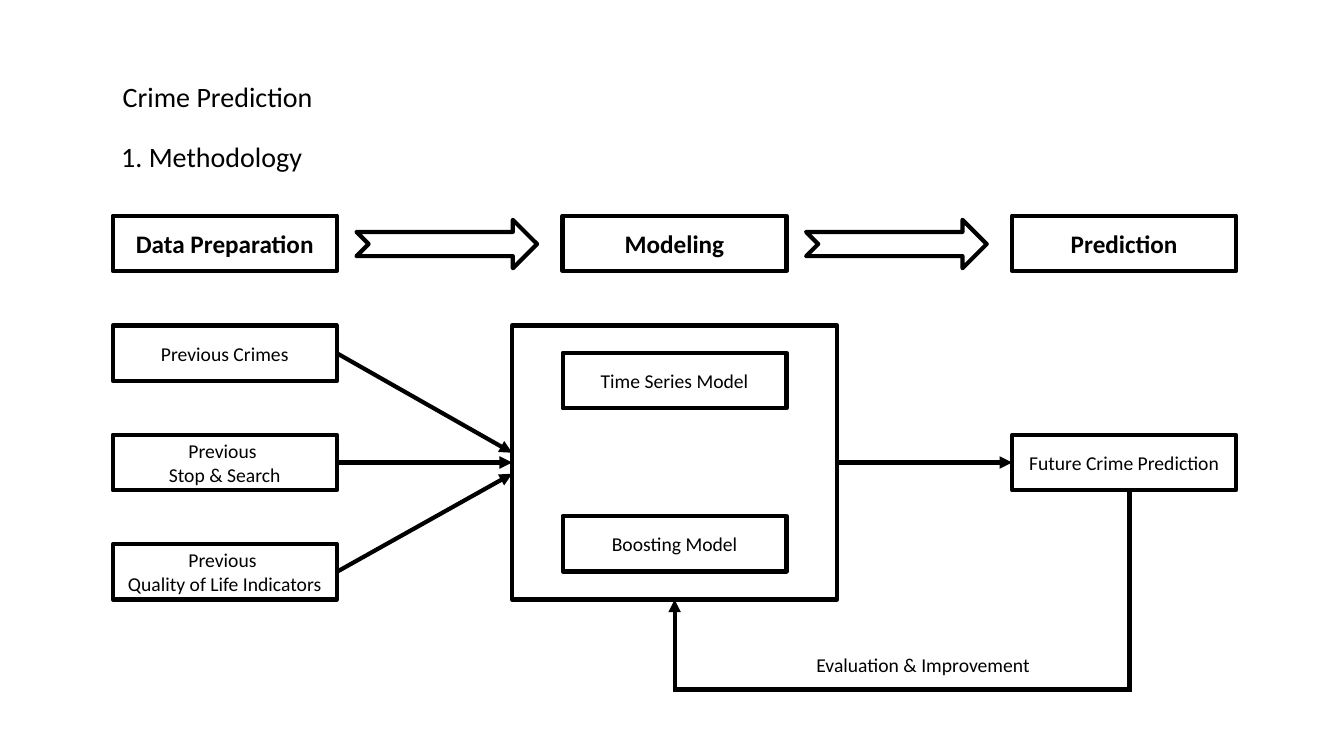
from dataclasses import dataclass

from lxml import etree
from pptx import Presentation
from pptx.dml.color import RGBColor
from pptx.enum.shapes import MSO_CONNECTOR, MSO_SHAPE
from pptx.enum.text import MSO_ANCHOR, MSO_AUTO_SIZE, PP_ALIGN
from pptx.oxml.ns import qn
from pptx.util import Pt

RECTANGLE = MSO_SHAPE.RECTANGLE
NOTCHED_ARROW = MSO_SHAPE.NOTCHED_RIGHT_ARROW
STRAIGHT = MSO_CONNECTOR.STRAIGHT
MIDDLE = MSO_ANCHOR.MIDDLE
CENTER, LEFT = PP_ALIGN.CENTER, PP_ALIGN.LEFT
GROW = MSO_AUTO_SIZE.SHAPE_TO_FIT_TEXT
LEFT_SIDE, BOTTOM_SIDE, RIGHT_SIDE = 1, 2, 3


@dataclass(frozen=True)
class Theme:
    font: str = "Calibri"
    ink: RGBColor = RGBColor(0, 0, 0)
    line_width: float = 3
    title_size: float = 20
    stage_size: float = 18
    body_size: float = 14


class DiagramBuilder:
    def __init__(self, slide, theme):
        self.slide = slide
        self.theme = theme

    def set_text(self, shape, text, size, alignment, bold=False):
        shape.text_frame.text = text
        for paragraph in shape.text_frame.paragraphs:
            paragraph.alignment = alignment
            for run in paragraph.runs:
                run.font.name = self.theme.font
                run.font.size = Pt(size)
                run.font.bold = bold
                run.font.color.rgb = self.theme.ink

    def style_line(self, line):
        line.color.rgb = self.theme.ink
        line.width = Pt(self.theme.line_width)

    def outline(self, kind, left, top, width, height):
        shape = self.slide.shapes.add_shape(
            kind, Pt(left), Pt(top), Pt(width), Pt(height))
        shape.shadow.inherit = False
        shape.fill.background()
        self.style_line(shape.line)
        return shape

    def box(self, text, left, top, size, bold=False):
        shape = self.outline(RECTANGLE, left, top, BOX_WIDTH, BOX_HEIGHT)
        shape.text_frame.word_wrap = True
        shape.text_frame.vertical_anchor = MIDDLE
        self.set_text(shape, text, size, CENTER, bold)
        return shape

    def label(self, text, left, top, width, height, size):
        shape = self.slide.shapes.add_textbox(
            Pt(left), Pt(top), Pt(width), Pt(height))
        shape.text_frame.word_wrap = True
        shape.text_frame.auto_size = GROW
        self.set_text(shape, text, size, LEFT)

    def connector(self, start, end, source=None, target=None, arrow=True):
        """Draw from start to end; source and target are (shape, side) joins."""
        connector = self.slide.shapes.add_connector(
            STRAIGHT, *(Pt(length) for length in (*start, *end)))
        if source:
            connector.begin_connect(*source)
        if target:
            connector.end_connect(*target)
        self.style_line(connector.line)
        properties = connector._element.spPr
        if arrow:
            line = properties.find(qn("a:ln"))
            etree.SubElement(line, qn("a:tailEnd"), type="triangle")
        etree.SubElement(properties, qn("a:effectLst"))


BOX_WIDTH, BOX_HEIGHT = 160, 39.6
COLUMNS = [80.6 + 321.2 * index for index in range(3)]
STAGE_TOP = 154
ROWS = [232.5 + 78.1 * index for index in range(3)]
CENTER_Y = ROWS[1] + BOX_HEIGHT / 2
PANEL_LEFT, PANEL_WIDTH = 365.8, 232.2
PANEL_RIGHT = PANEL_LEFT + PANEL_WIDTH
PANEL_CENTER = PANEL_LEFT + PANEL_WIDTH / 2
PANEL_BOTTOM = ROWS[2] + BOX_HEIGHT
MODEL_LEFT = PANEL_CENTER - BOX_WIDTH / 2
FEEDBACK_X, FEEDBACK_Y = 806.8, 492.5

STAGES = ["Data Preparation", "Modeling", "Prediction"]
SOURCES = [("Previous Crimes", -7),
           ("Previous \nStop & Search", 0),
           ("Previous \nQuality of Life Indicators", 8)]
MODELS = [("Time Series Model", 252), ("Boosting Model", 368.6)]


def main():
    presentation = Presentation()
    presentation.slide_width, presentation.slide_height = Pt(960), Pt(540)
    slide = presentation.slides.add_slide(presentation.slide_layouts[6])
    theme = Theme()
    builder = DiagramBuilder(slide, theme)

    builder.label("Crime Prediction", 80.6, 53.3, 343, 31.5, theme.title_size)
    builder.label("1. Methodology", 79.5, 96, 343, 31.5, theme.title_size)

    for stage, left in zip(STAGES, COLUMNS):
        builder.box(stage, left, STAGE_TOP, theme.stage_size, bold=True)
    for left in COLUMNS[:-1]:
        builder.outline(NOTCHED_ARROW, left + BOX_WIDTH + 14, 157, 129, 34.6)

    panel = builder.outline(RECTANGLE, PANEL_LEFT, ROWS[0],
                            PANEL_WIDTH, PANEL_BOTTOM - ROWS[0])
    for model, top in MODELS:
        builder.box(model, MODEL_LEFT, top, theme.body_size)

    for (text, offset), top in zip(SOURCES, ROWS):
        source = builder.box(text, COLUMNS[0], top, theme.body_size)
        builder.connector(
            (COLUMNS[0] + BOX_WIDTH, top + BOX_HEIGHT / 2),
            (PANEL_LEFT, CENTER_Y + offset),
            source=(source, RIGHT_SIDE),
            target=None if offset else (panel, LEFT_SIDE))

    future = builder.box("Future Crime Prediction", COLUMNS[2], ROWS[1],
                         theme.body_size)
    builder.connector((PANEL_RIGHT, CENTER_Y), (COLUMNS[2], CENTER_Y),
                      source=(panel, RIGHT_SIDE), target=(future, LEFT_SIDE))

    overlap = theme.line_width / 2
    builder.connector((FEEDBACK_X, ROWS[1] + BOX_HEIGHT),
                      (FEEDBACK_X, FEEDBACK_Y), arrow=False)
    builder.connector((FEEDBACK_X + overlap, FEEDBACK_Y),
                      (PANEL_CENTER - overlap, FEEDBACK_Y), arrow=False)
    builder.connector((PANEL_CENTER, FEEDBACK_Y), (PANEL_CENTER, PANEL_BOTTOM),
                      target=(panel, BOTTOM_SIDE))
    builder.label("Evaluation & Improvement", 576, 463, 245, 24.2,
                  theme.body_size)

    presentation.save("out.pptx")


if __name__ == "__main__":
    main()
